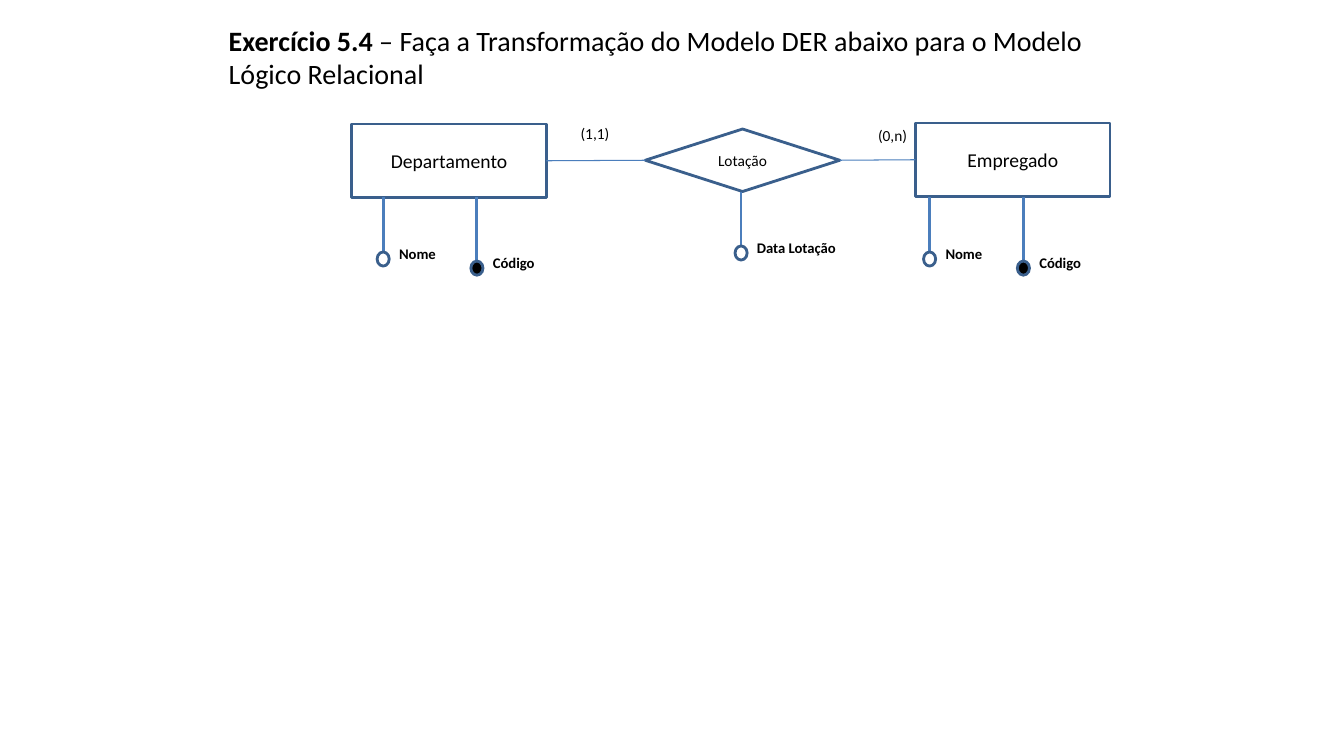
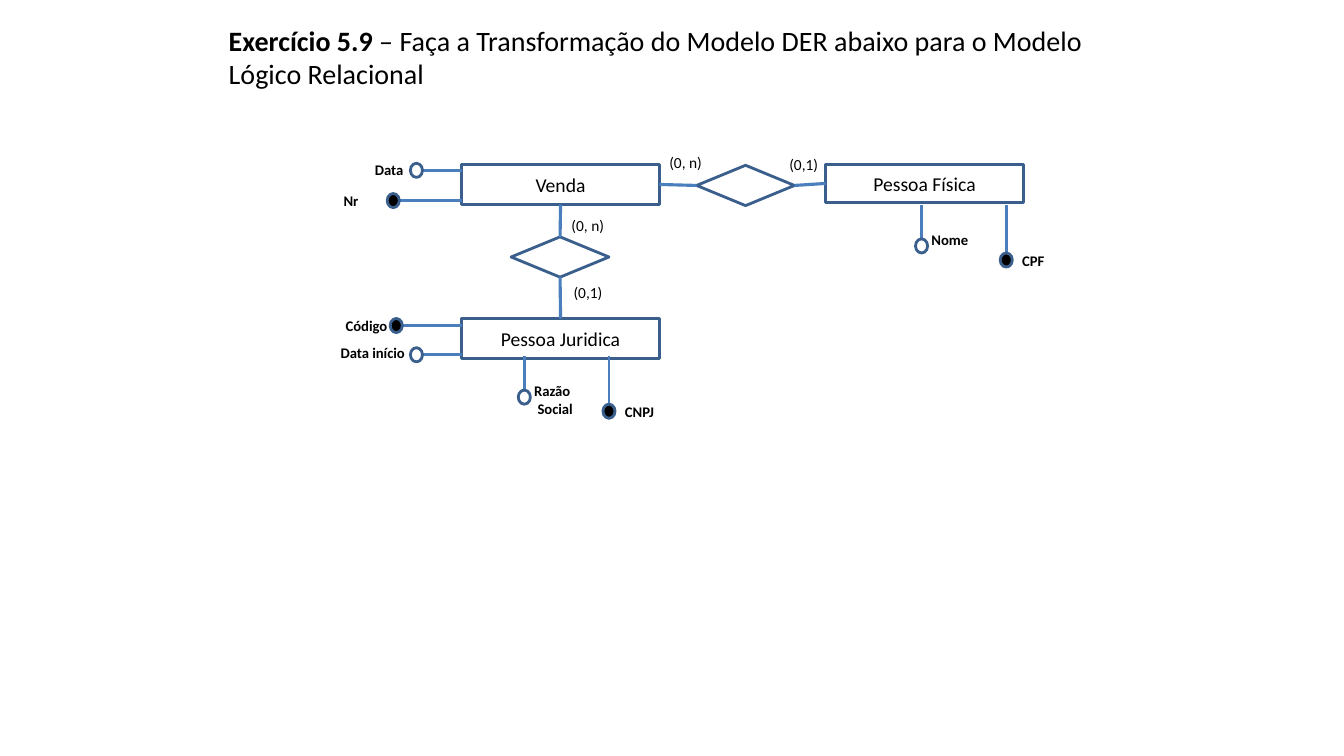
from dataclasses import dataclass

from lxml import etree
from pptx import Presentation
from pptx.dml.color import RGBColor
from pptx.enum.shapes import MSO_CONNECTOR, MSO_SHAPE
from pptx.enum.text import MSO_ANCHOR, MSO_AUTO_SIZE, PP_ALIGN
from pptx.oxml.ns import qn
from pptx.util import Inches, Pt

RECT = MSO_SHAPE.RECTANGLE
DIAMOND = MSO_SHAPE.FLOWCHART_DECISION
DOT = MSO_SHAPE.FLOWCHART_CONNECTOR
LINE = MSO_CONNECTOR.STRAIGHT
MIDDLE = MSO_ANCHOR.MIDDLE
GROW = MSO_AUTO_SIZE.SHAPE_TO_FIT_TEXT
CENTER = PP_ALIGN.CENTER
TOP, LEFT, BOTTOM, RIGHT = range(4)


@dataclass(frozen=True)
class Theme:
    font: str = "Calibri"
    ink: RGBColor = RGBColor(0, 0, 0)
    paper: RGBColor = RGBColor(255, 255, 255)
    edge: RGBColor = RGBColor(0x3A, 0x5F, 0x8C)
    wire: RGBColor = RGBColor(0x4B, 0x7E, 0xBC)
    title: float = 20
    entity: float = 14
    small: float = 11
    label: float = 10.5
    stroke: float = 2
    dot_w: float = 0.12
    dot_h: float = 0.14


THEME = Theme()


def style(para, size, bold=None):
    font = para.font
    font.name = THEME.font
    font.size = Pt(size)
    font.color.rgb = THEME.ink
    font.bold = bold


def add_title(slide, number):
    box = slide.shapes.add_textbox(Inches(2.17), Inches(0.13), Inches(9), Inches(0.87))
    frame = box.text_frame
    frame.word_wrap = True
    frame.vertical_anchor = MIDDLE
    para = frame.paragraphs[0]
    style(para, THEME.title)
    head = para.add_run()
    head.text = f"Exercício {number}"
    head.font.bold = True
    rest = para.add_run()
    rest.text = " – Faça a Transformação do Modelo DER abaixo para o Modelo Lógico Relacional"


def add_node(slide, kind, x, y, w, h, fill=THEME.paper, text="", size=THEME.entity):
    node = slide.shapes.add_shape(kind, Inches(x), Inches(y), Inches(w), Inches(h))
    node.shadow.inherit = False
    if fill is None:
        node.fill.background()
    else:
        node.fill.solid()
        node.fill.fore_color.rgb = fill
    node.line.color.rgb = THEME.edge
    node.line.width = Pt(THEME.stroke)
    if text:
        frame = node.text_frame
        frame.vertical_anchor = MIDDLE
        frame.text = text
        para = frame.paragraphs[0]
        para.alignment = CENTER
        style(para, size)
    return node


def add_text(slide, text, x, y, w, size, bold=None):
    lines = text.split("\n")
    height = 0.28 + 0.17 * (len(lines) - 1)
    box = slide.shapes.add_textbox(Inches(x), Inches(y), Inches(w), Inches(height))
    frame = box.text_frame
    frame.word_wrap = False
    frame.auto_size = GROW
    frame.text = text
    for para in frame.paragraphs:
        style(para, size, bold)


def add_line(slide, x1, y1, x2, y2, width=THEME.stroke):
    line = slide.shapes.add_connector(LINE, Inches(x1), Inches(y1), Inches(x2), Inches(y2))
    line.line.color.rgb = THEME.wire
    line.line.width = Pt(width)
    etree.SubElement(line._element.spPr, qn("a:effectLst"))
    return line


def link(slide, start, side, end, other, width):
    line = add_line(slide, 0, 0, 0, 0, width)
    line.begin_connect(start, side)
    line.end_connect(end, other)


def add_dot(slide, x, y, key):
    add_node(slide, DOT, x, y, THEME.dot_w, THEME.dot_h, THEME.ink if key else None)


def add_drop(slide, text, x, y, width, base, shift, key=False):
    mid = x + THEME.dot_w / 2
    add_line(slide, mid, y, mid, base)
    add_dot(slide, x, y, key)
    dx, dy = shift
    add_text(slide, text, x + dx, y + dy, width, THEME.label, True)


def add_side(slide, text, x, y, spot, width, edge, key=False):
    mid = y + THEME.dot_h / 2
    add_line(slide, x + THEME.dot_w, mid, edge, mid)
    add_dot(slide, x, y, key)
    add_text(slide, text, *spot, width, THEME.label, True)


def add_counts(slide, counts):
    for text, x, y, width in counts:
        add_text(slide, text, x, y, width, THEME.small)


def draw_staff(slide):
    add_title(slide, "5.4")
    dept = add_node(slide, RECT, 3.49, 1.23, 1.93, 0.73, text="Departamento")
    post = add_node(slide, DIAMOND, 6.4, 1.28, 1.93, 0.62, text="Lotação", size=THEME.small)
    staff = add_node(slide, RECT, 9.08, 1.22, 1.93, 0.73, text="Empregado")
    link(slide, dept, RIGHT, post, LEFT, 0.75)
    link(slide, post, RIGHT, staff, LEFT, 0.75)
    add_counts(slide, [("(1,1)", 5.66, 1.18, 0.51), ("(0,n)", 8.61, 1.2, 0.49)])
    shift = (0.12, -0.12)
    for x in (3.74, 9.16):
        add_drop(slide, "Nome", x, 2.5, 0.57, 1.95, shift)
        add_drop(slide, "Código", x + 0.93, 2.59, 0.62, 1.95, shift, True)
    add_drop(slide, "Data Lotação", 7.29, 2.44, 1, 1.9, shift)


def draw_sale(slide):
    add_title(slide, "5.9")
    left, width, height = 4.58, 1.96, 0.4
    sale = add_node(slide, RECT, left, 1.63, width, height, text="Venda")
    person = add_node(slide, RECT, 8.19, 1.63, width, 0.38, text="Pessoa Física")
    firm = add_node(slide, RECT, left, 3.16, width, height, text="Pessoa Juridica")
    across = add_node(slide, DIAMOND, 6.91, 1.64, 0.97, height)
    down = add_node(slide, DIAMOND, 5.07, 2.35, 0.97, height)
    for start, side, end, other in (
        (sale, RIGHT, across, LEFT),
        (across, RIGHT, person, LEFT),
        (sale, BOTTOM, down, TOP),
        (down, BOTTOM, firm, TOP),
    ):
        link(slide, start, side, end, other, 2.25)
    add_counts(slide, [
        ("(0, n)", 6.54, 1.47, 0.56),
        ("(0,1)", 7.73, 1.49, 0.52),
        ("(0, n)", 5.57, 2.09, 0.56),
        ("(0,1)", 5.59, 2.76, 0.52),
    ])
    for x, base, name, wide, code, span in (
        (9.08, 2.03, "Nome", 0.57, "CPF", 0.43),
        (5.14, 3.53, "Razão\n Social", 0.59, "CNPJ", 0.5),
    ):
        add_drop(slide, name, x, base + 0.34, wide, base, (0.06, -0.13))
        add_drop(slide, code, x + 0.84, base + 0.48, span, base, (0.12, -0.06), True)
    for text, x, y, spot, wide, key in (
        ("Data", 4.07, 1.62, (3.62, 1.55), 0.49, False),
        ("Nr", 3.84, 1.92, (3.31, 1.85), 0.35, True),
        ("Código", 3.87, 3.16, (3.33, 3.09), 0.62, True),
        ("Data início", 4.07, 3.45, (3.28, 3.36), 0.85, False),
    ):
        add_side(slide, text, x, y, spot, wide, left, key)


def main():
    deck = Presentation()
    deck.slide_width = Inches(13.33)
    deck.slide_height = Inches(7.5)
    for draw in (draw_staff, draw_sale):
        draw(deck.slides.add_slide(deck.slide_layouts[6]))
    deck.save("out.pptx")


if __name__ == "__main__":
    main()
